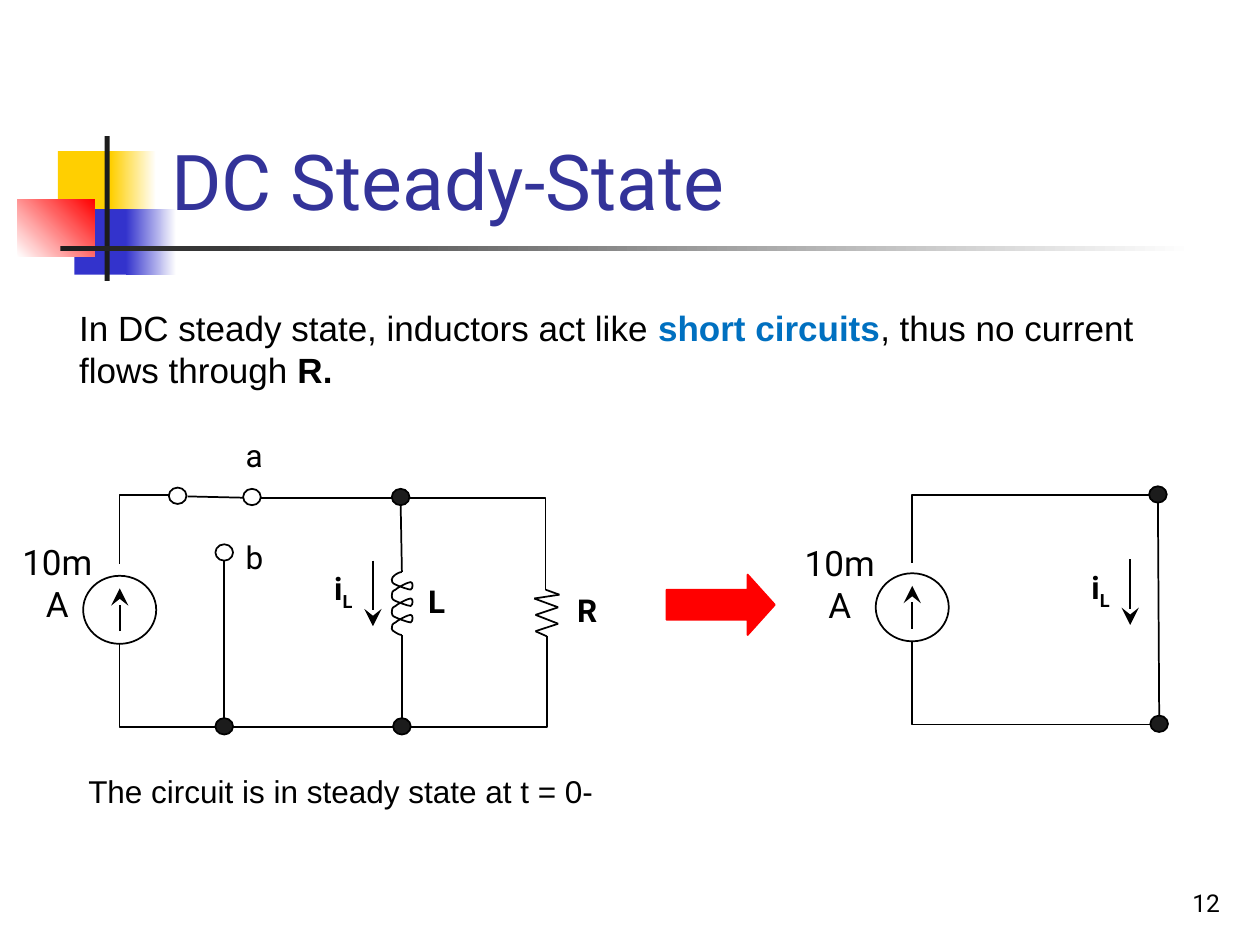
from itertools import pairwise

from lxml.etree import SubElement as Sub
from pptx import Presentation
from pptx.dml.color import RGBColor as RGB
from pptx.enum.shapes import MSO_CONNECTOR as Link, MSO_SHAPE as Kind
from pptx.enum.text import MSO_ANCHOR as Anchor, PP_ALIGN as Align
from pptx.oxml.ns import qn
from pptx.util import Inches, Pt

COLORS = {"black": "000000", "white": "FFFFFF", "ink": "1C1C1C",
          "gold": "FFCF01", "blue": "3333CC", "red": "FF0000",
          "title": "333399", "key": "0070C0"}


def tint(name):
    return RGB.from_string(COLORS[name])


class Board:
    font = "Roboto"
    width = Pt(1)

    def __init__(self, slide):
        self.slide = slide
        self.shapes = slide.shapes

    def title(self, text, x, y, w, h):
        box = self.shapes.title
        box.left, box.top, box.width, box.height = map(Inches, (x, y, w, h))
        frame = box.text_frame
        frame.text = text
        frame.vertical_anchor = Anchor.BOTTOM
        frame.paragraphs[0].alignment = Align.LEFT
        self.style(frame.paragraphs[0].runs[0], 44, "title")

    def style(self, run, size, color="black", bold=False, font=None):
        run.font.name = font or self.font
        run.font.size = Pt(size)
        run.font.bold = bold
        run.font.color.rgb = tint(color)

    def text(self, runs, x, y, w, h, size=18, align=Align.LEFT,
             wrap=True, font=None, anchor=Anchor.TOP):
        """Runs are (text, color, bold)."""
        box = self.shapes.add_textbox(*map(Inches, (x, y, w, h)))
        frame = box.text_frame
        frame.word_wrap = wrap
        frame.vertical_anchor = anchor
        para = frame.paragraphs[0]
        para.alignment = align
        for words, color, bold in runs:
            run = para.add_run()
            run.text = words
            self.style(run, size, color, bold, font)
        return para

    def label(self, text, x, y, w):
        return self.text([(c, "black", True) for c in text], x, y, w, 0.4,
                         align=Align.CENTER, wrap=False)

    def shape(self, kind, x, y, w, h, fill=None, line=None):
        """A pair of colors with an angle makes a gradient fill."""
        item = self.shapes.add_shape(kind, *map(Inches, (x, y, w, h)))
        item.shadow.inherit = False
        if fill is None:
            item.fill.background()
        elif isinstance(fill, tuple):
            *ends, angle = fill
            item.fill.gradient()
            item.fill.gradient_angle = angle
            for stop, name in zip(item.fill.gradient_stops, ends):
                stop.color.rgb = tint(name)
        else:
            item.fill.solid()
            item.fill.fore_color.rgb = tint(fill)
        if line:
            item.line.color.rgb = tint(line)
            item.line.width = self.width
        else:
            item.line.fill.background()
        return item

    def wire(self, start, end, bent=False, head=False):
        """A bent wire runs across first, then up or down."""
        link = self.shapes.add_connector(
            Link.ELBOW if bent else Link.STRAIGHT,
            *map(Inches, (*start, *end)))
        link.line.color.rgb = tint("black")
        link.line.width = self.width
        props = link._element.spPr
        if bent:
            props.find(qn("a:prstGeom")).set("prst", "bentConnector2")
        if head:
            Sub(props.find(qn("a:ln")), qn("a:tailEnd"),
                type="stealth", w="lg", len="lg")
        Sub(props, qn("a:effectLst"))

    def curve(self, points):
        """Draw a start point and then three points per Bezier part."""
        start, *rest = [(round(x * 1000), round(y * 1000)) for x, y in points]
        build = self.shapes.build_freeform(*start, scale=Inches(1) / 1000)
        build.add_line_segments(rest, close=False)
        item = build.convert_to_shape()
        item.shadow.inherit = False
        item.fill.background()
        item.line.color.rgb = tint("black")
        item.line.width = self.width
        lines = list(item._element.iter(qn("a:lnTo")))
        for i in range(0, len(lines), 3):
            part = Sub(lines[i].getparent(), qn("a:cubicBezTo"))
            for line in lines[i:i + 3]:
                part.append(line[0])
                line.getparent().remove(line)

    def node(self, x, y, fill="ink"):
        self.shape(Kind.OVAL, x - 0.07, y - 0.07, 0.14, 0.13, fill, "black")

    def source(self, x, y, left, top):
        """Left and top place the label."""
        self.shape(Kind.OVAL, x - 0.29, y - 0.27, 0.58, 0.54, line="black")
        self.wire((x, y + 0.17), (x, y - 0.17), head=True)
        self.text([("10mA", "black", False)], left, top, 0.91, 0.77,
                  20, Align.CENTER)

    def current(self, x, y):
        self.wire((x, y), (x, y + 0.52), head=True)
        para = self.label("iL", x - 0.42, y + 0.02, 0.37)
        para.runs[1].font._element.set("baseline", "-25000")

    def coil(self, x, y):
        turn = [(0, .01), (0, .03), (.03, .04),
                (.05, .05), (.13, .08), (.15, .08),
                (.17, .07), (.17, .02), (.15, .02),
                (.13, .02), (.05, .06), (.03, .08),
                (0, .09), (0, .11), (0, .13)]
        points = [(.08, 0), (.07, 0), (.04, .01), (.03, .02),
                  (.01, .03), (0, .05), (0, .06)]
        for i in range(3):
            points += [(a, b + .06 + .13 * i) for a, b in turn]
        points += [(0, .46), (.01, .47), (.03, .48),
                   (.04, .49), (.07, .5), (.08, .5)]
        self.curve([(x + a, y + b) for a, b in points])


def main():
    deck = Presentation()
    deck.slide_width, deck.slide_height = Inches(10), Inches(7.5)
    board = Board(deck.slides.add_slide(deck.slide_layouts[5]))

    for x, y, w, h, fill in [
            (0.46, 1.2, 0.48, 0.52, "gold"),
            (0.88, 1.2, 0.36, 0.52, ("gold", "white", 0)),
            (0.59, 1.66, 0.46, 0.52, "blue"),
            (1, 1.66, 0.4, 0.52, ("blue", "white", 0)),
            (0.14, 1.58, 0.61, 0.46, ("white", "red", 45)),
            (0.83, 1.08, 0.04, 1.15, "ink"),
            (0.48, 1.95, 9, 0.04, ("ink", "white", 0))]:
        board.shape(Kind.RECTANGLE, x, y, w, h, fill)
    board.title("DC Steady-State", 1.26, 0.24, 8.52, 1.6)
    board.text([("In DC steady state, inductors act like ", "black", False),
                ("short circuits", "key", True),
                (", thus no current flows through ", "black", False),
                ("R.", "black", True)],
               0.53, 2.38, 8.59, 0.77, 20, font="Arial")

    # Full circuit
    for start, end in [((1.71, 5.77), (0.95, 5.11)),
                       ((1.35, 3.93), (0.95, 4.48)),
                       ((3.25, 3.95), (4.33, 4.68)),
                       ((3.26, 5.77), (4.34, 5.05))]:
        board.wire(start, end, bent=True)
    for start, end in [((3.18, 4.01), (3.19, 4.54)),
                       ((3.19, 5.7), (3.19, 5.04)),
                       ((3.11, 3.95), (2.07, 3.95)),
                       ((1.93, 3.95), (1.49, 3.94)),
                       ((1.85, 5.77), (3.12, 5.77)),
                       ((1.78, 5.7), (1.78, 4.45))]:
        board.wire(start, end)
    zigzag = [(4.33, 4.68), (4.44, 4.72), (4.24, 4.75), (4.43, 4.82),
              (4.25, 4.88), (4.43, 4.95), (4.25, 5.01), (4.34, 5.05)]
    for start, end in pairwise(zigzag):
        board.wire(start, end)
    board.coil(3.11, 4.54)
    for x, y in [(3.18, 3.95), (3.19, 5.77), (1.78, 5.77)]:
        board.node(x, y)
    for x, y in [(1.41, 3.94), (2, 3.95), (1.78, 4.39)]:
        board.node(x, y, "white")
    board.source(0.95, 4.84, 0, 4.24)
    board.current(2.96, 4.45)
    board.label("R", 4.47, 4.64, 0.38)
    board.label("L", 3.28, 4.57, 0.37)
    for name, y in [("a", 3.41), ("b", 4.22)]:
        board.text([(name, "black", False)], 1.85, y, 0.49, 0.4)
    board.text([("The circuit is in steady state at t = 0-", "black", False)],
               0.53, 6.08, 4.35, 0.4, align=Align.CENTER, wrap=False,
               font="Arial")

    arrow = board.shape(Kind.RIGHT_ARROW, 5.29, 4.56, 0.86, 0.48, "red", "red")
    arrow.adjustments[1] = 0.45

    # Steady-state circuit
    board.wire((9.13, 5.75), (7.24, 5.09), bent=True)
    board.wire((9.12, 3.93), (7.24, 4.47), bent=True)
    board.wire((9.19, 3.99), (9.2, 5.68))
    board.node(9.19, 3.93)
    board.node(9.2, 5.75)
    board.source(7.24, 4.82, 6.21, 4.25)
    board.current(8.97, 4.44)

    board.text([("12", "black", False)], 7.7, 6.83, 2.08, 0.5, 14,
               Align.RIGHT, anchor=Anchor.BOTTOM)
    deck.save("out.pptx")


if __name__ == "__main__":
    main()
